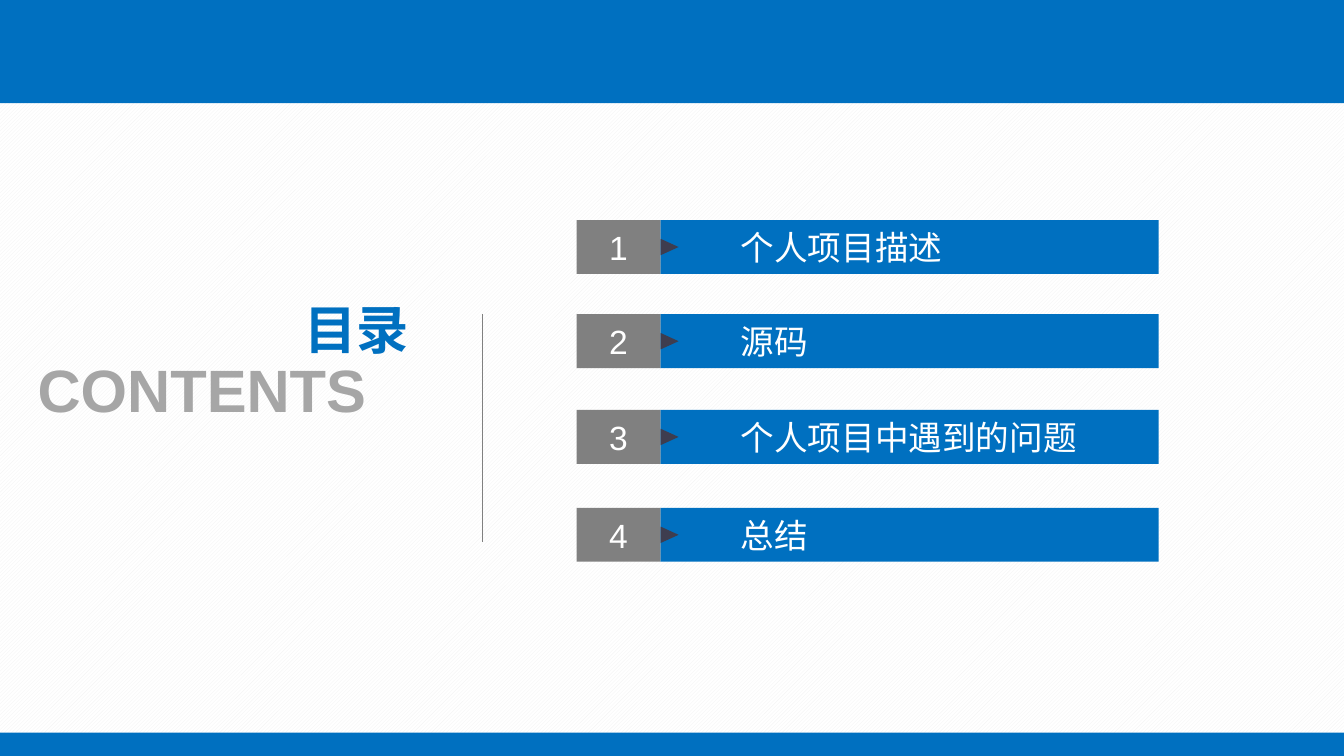
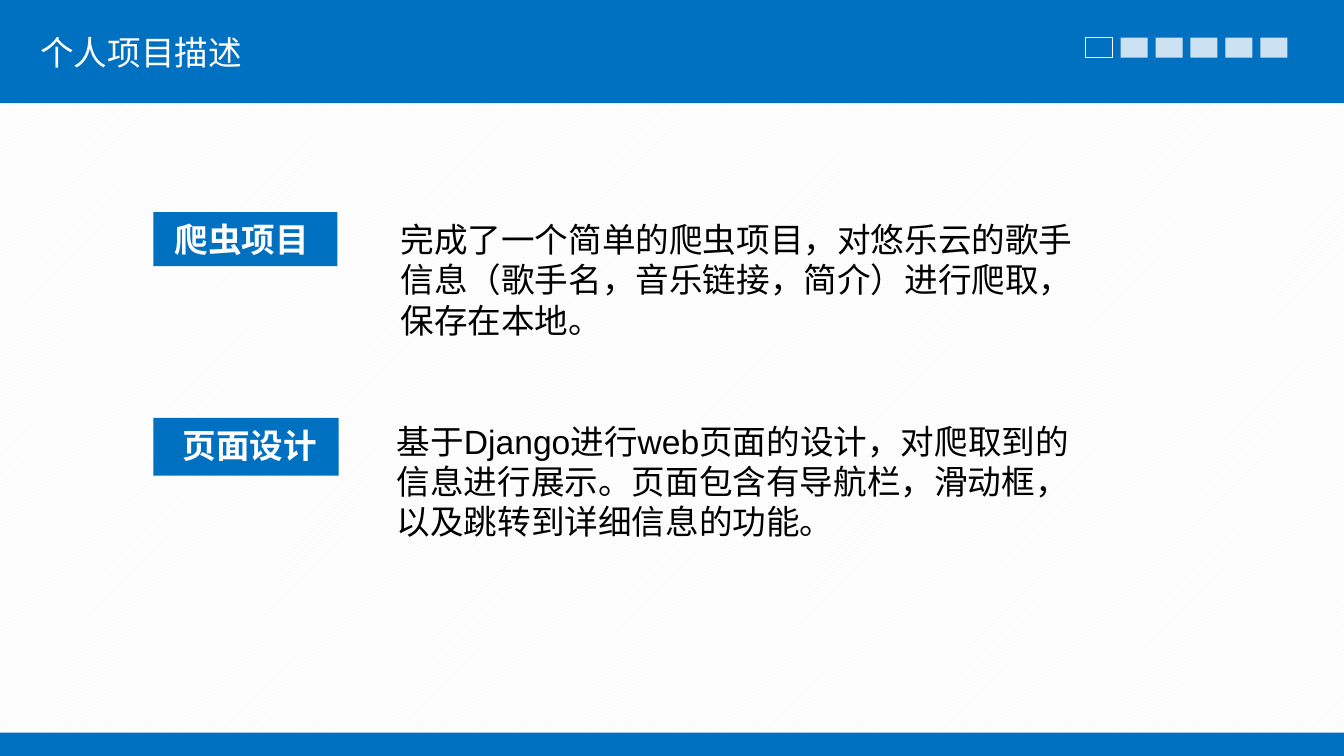
from lxml import etree
from pptx import Presentation
from pptx.dml.color import RGBColor
from pptx.enum.dml import MSO_PATTERN
from pptx.enum.shapes import MSO_CONNECTOR, MSO_SHAPE
from pptx.enum.text import MSO_ANCHOR, MSO_AUTO_SIZE, PP_ALIGN
from pptx.oxml.ns import qn
from pptx.util import Cm, Pt

RECTANGLE, TRIANGLE = MSO_SHAPE.RECTANGLE, MSO_SHAPE.ISOSCELES_TRIANGLE
LEFT, CENTER = PP_ALIGN.LEFT, PP_ALIGN.CENTER
TOP, MIDDLE = MSO_ANCHOR.TOP, MSO_ANCHOR.MIDDLE

BLUE = RGBColor(0x00, 0x70, 0xC0)
GRAY = RGBColor(0x80, 0x80, 0x80)
SILVER = RGBColor(0xA6, 0xA6, 0xA6)
SLATE = RGBColor(0x3E, 0x3D, 0x4F)
PALE = RGBColor(0xF2, 0xF2, 0xF2)
WHITE = RGBColor(0xFF, 0xFF, 0xFF)
BLACK = RGBColor(0x00, 0x00, 0x00)

FONT = "Arial"
WIDTH, HEIGHT = 25.4, 14.29

BODY = {"size": Pt(18), "color": WHITE, "bold": False}
LABEL = {**BODY, "bold": True}
DETAIL = {**BODY, "color": BLACK}
HEADING = {"size": Pt(28), "color": BLUE, "bold": True}
SUBHEADING = {"size": Pt(32), "color": SILVER, "bold": True}


def add_block(shapes, at, fill, kind=RECTANGLE):
    """Add a flat preset shape; at holds left, top, width, height in cm."""
    block = shapes.add_shape(kind, *map(Cm, at))
    block.shadow.inherit = False
    block.line.fill.background()
    if fill is None:
        block.fill.background()
    else:
        block.fill.solid()
        block.fill.fore_color.rgb = fill
    return block


def write(box, text, style, at=None, align=LEFT, anchor=TOP, wrap=True, insets=(0.25, 0.13)):
    """Put one formatted paragraph into a box and return the paragraph."""
    if at:
        box.left, box.top, box.width, box.height = map(Cm, at)
    frame = box.text_frame
    side, edge = map(Cm, insets)
    settings = {
        "word_wrap": wrap, "auto_size": MSO_AUTO_SIZE.NONE, "vertical_anchor": anchor,
        "margin_left": side, "margin_right": side, "margin_top": edge, "margin_bottom": edge,
    }
    for name, value in settings.items():
        setattr(frame, name, value)
    para = frame.paragraphs[0]
    para.alignment = align
    span = para.add_run()
    span.text = text
    span.font.name = FONT
    span.font.size = style["size"]
    span.font.bold = style["bold"]
    span.font.color.rgb = style["color"]
    return para


deck = Presentation()
deck.slide_width, deck.slide_height = Cm(WIDTH), Cm(HEIGHT)
title_only = deck.slide_layouts[5]
contents = deck.slides.add_slide(title_only)
project = deck.slides.add_slide(title_only)

# Shared background and bands, kept on the master
master = deck.slide_master
backdrop = master.background.fill
backdrop.patterned()
backdrop.pattern = MSO_PATTERN.LIGHT_UPWARD_DIAGONAL
backdrop.fore_color.rgb = PALE
backdrop.back_color.rgb = WHITE
for number, (top, height) in enumerate([(0, 1.95), (13.85, 0.44)]):
    band = add_block(contents.shapes, (0, top, WIDTH, height), BLUE)
    band.element.nvSpPr.cNvPr.set("id", str(100 + number))
    master.shapes.element.insert(2 + number, band.element)

# Contents: heading and divider
write(contents.shapes.title, "目录", HEADING, (5.51, 5.49, 2.51, 1.45), wrap=False)
subheading = contents.shapes.add_textbox(0, 0, 0, 0)
write(subheading, "CONTENTS", SUBHEADING, (0.46, 6.53, 8.69, 1.63))
divider = contents.shapes.add_connector(
    MSO_CONNECTOR.STRAIGHT, Cm(9.12), Cm(5.94), Cm(9.12), Cm(10.24))
divider.line.color.rgb = GRAY
divider.line.width = Pt(0.75)
etree.SubElement(divider.element.spPr, qn("a:effectLst"))

# Contents: numbered rows
rows = [(4.16, "个人项目描述"), (5.94, "源码"), (7.75, "个人项目中遇到的问题"), (9.6, "总结")]
for number, (top, topic) in enumerate(rows, start=1):
    row = contents.shapes.add_group_shape().shapes
    bar = add_block(row, (12.48, top, 9.42, 1.02), BLUE)
    para = write(bar, topic, BODY, anchor=MIDDLE)
    para._p.get_or_add_pPr().set("indent", str(Cm(1.27)))
    tile = add_block(row, (10.9, top, 1.58, 1.02), GRAY)
    write(tile, str(number), BODY, align=CENTER, anchor=MIDDLE)
    arrow = add_block(row, (12.5, top + 0.34, 0.31, 0.34), SLATE, TRIANGLE)
    arrow.rotation = 90

# Project: title and progress squares
write(project.shapes.title, "个人项目描述", BODY, (0.51, 0.48, 4.37, 1.02), wrap=False)
for step in range(6):
    current = step == 0
    square = add_block(project.shapes, (20.52 + 0.66 * step, 0.71, 0.51, 0.38),
                       None if current else WHITE)
    if current:
        square.line.color.rgb = WHITE
        square.line.width = Pt(0.5)
    else:
        color = square.element.spPr.find(qn("a:solidFill"))[0]
        etree.SubElement(color, qn("a:alpha"), val="80000")

# Project: labelled descriptions
topics = [
    ("爬虫项目", (2.9, 4.01, 3.48, 1.02), (2.9, 4.01, 3.48, 1.02), (7.39, 4.04, 13.26, 2.49),
     "完成了一个简单的爬虫项目，对悠乐云的歌手信息（歌手名，音乐链接，简介）进行爬取，保存在本地。"),
    ("页面设计", (2.9, 7.9, 3.5, 1.09), (3.05, 7.9, 3.4, 1.02), (7.32, 7.85, 13.36, 3.28),
     "基于Django进行web页面的设计，对爬取到的信息进行展示。页面包含有导航栏，滑动框，以及跳转到详细信息的功能。"),
]
for name, plate_at, label_at, detail_at, description in topics:
    topic = project.shapes.add_group_shape().shapes
    add_block(topic, plate_at, BLUE)
    label = topic.add_textbox(*map(Cm, label_at))
    write(label, name, LABEL, insets=(0.4, 0.13))
    detail = topic.add_textbox(*map(Cm, detail_at))
    write(detail, description, DETAIL, insets=(0.18, 0.1))

deck.save("out.pptx")
